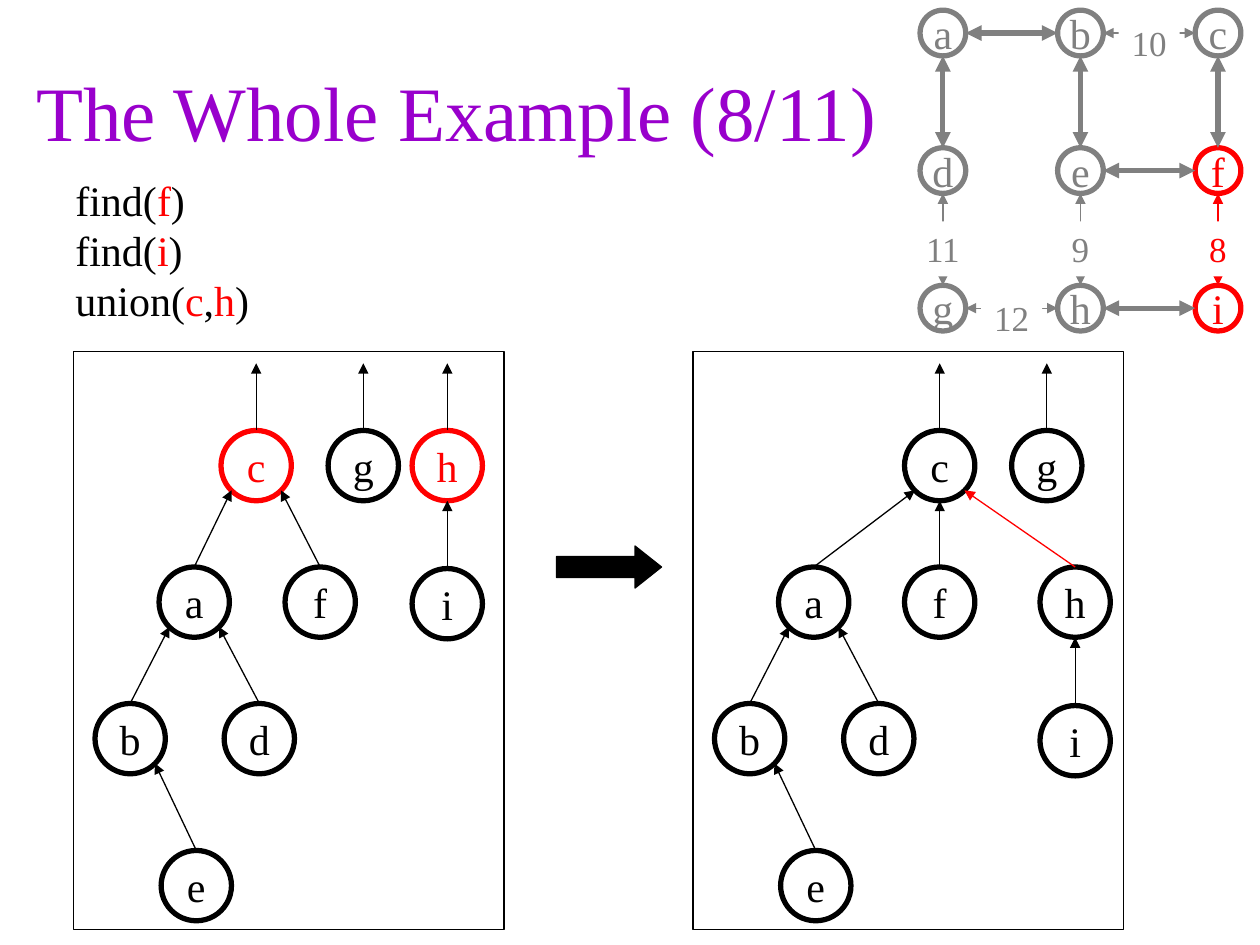
from dataclasses import dataclass

from lxml import etree
from pptx import Presentation
from pptx import util as u
from pptx.dml.color import RGBColor
from pptx.enum import shapes, text
from pptx.oxml.ns import qn

BLACK = RGBColor(0, 0, 0)
WHITE = RGBColor(255, 255, 255)
GRAY = RGBColor(128, 128, 128)
RED = RGBColor(255, 0, 0)
PURPLE = RGBColor(0x99, 0, 0xCC)
FONT = "Times New Roman"
COLUMNS = 120
THIN, THICK = 0.75, 3

GRAPH_LEFT, GRAPH_TOP, GRAPH_PITCH = 89.8, 3.15, 13.1
VERTEX_SIZE, WEIGHT_DROP = 4.35, 0.9
PANEL_TOP, PANEL_WIDTH, PANEL_HEIGHT = 33.5, 41, 55
NODE_SIZE, ROOT_TIP = 6.7, 34.6
SIDE_X, SIDE_Y = 2.35, 5.7


@dataclass(frozen=True)
class Edge:
    start: str
    end: str
    weight: str = ""
    box_width: float = 5.8
    color: RGBColor = GRAY


@dataclass(frozen=True)
class Node:
    label: str
    center: float
    top: float
    parent: str = ""
    color: RGBColor = BLACK
    link_color: RGBColor = BLACK


VERTICES = ["abc", "def", "ghi"]
CURRENT_EDGE = "fi"
EDGES = [
    Edge("a", "b"), Edge("a", "d"), Edge("b", "e"), Edge("c", "f"),
    Edge("e", "f"), Edge("h", "i"),
    Edge("d", "g", "11"), Edge("b", "c", "10"), Edge("e", "h", "9", 7),
    Edge("f", "i", "8", 3.6, RED), Edge("g", "h", "12"),
]
SHARED_TREE = [
    Node("a", 11.5, 54, "c"), Node("f", 23.5, 54, "c"),
    Node("b", 5.4, 67, "a"), Node("d", 17.7, 67, "a"),
    Node("e", 11.7, 81, "b"),
]
FORESTS = {
    66: [Node("c", 23.5, 41), Node("g", 33.7, 41),
         Node("h", 36.4, 54, "c", link_color=RED),
         Node("i", 36.4, 67.2, "h")] + SHARED_TREE,
    7: [Node("c", 17.4, 41, color=RED), Node("g", 27.6, 41),
        Node("h", 35.6, 41, color=RED),
        Node("i", 35.6, 54.15, "h")] + SHARED_TREE,
}
STEPS = [
    [("find(", BLACK), ("f", RED), (")", BLACK)],
    [("find(", BLACK), ("i", RED), (")", BLACK)],
    [("union(", BLACK), ("c", RED), (",", BLACK), ("h", RED), (")", BLACK)],
]

prs = Presentation()
prs.slide_width, prs.slide_height = u.Inches(10), u.Inches(7.5)
slide = prs.slides.add_slide(prs.slide_layouts[5])


def grid(*counts: float) -> list[int]:
    return [int(prs.slide_width * count / COLUMNS) for count in counts]


def style_font(font, size: float, color: RGBColor) -> None:
    font.name, font.size = FONT, u.Pt(size)
    font.color.rgb = color


def add_box(kind, left: float, top: float, width: float, height: float,
            fill: RGBColor | None = None, line: RGBColor | None = None,
            weight: float = THIN):
    box = slide.shapes.add_shape(kind, *grid(left, top, width, height))
    box.shadow.inherit = False
    if fill is None:
        box.fill.background()
    else:
        box.fill.solid()
        box.fill.fore_color.rgb = fill
    if line is None:
        box.line.fill.background()
    else:
        box.line.color.rgb = line
        box.line.width = u.Pt(weight)
    return box


def write_label(box, label: str, size: float, color: RGBColor) -> None:
    frame = box.text_frame
    frame.text = label
    frame.word_wrap = False
    frame.vertical_anchor = text.MSO_ANCHOR.MIDDLE
    frame.paragraphs[0].alignment = text.PP_ALIGN.CENTER
    style_font(frame.paragraphs[0].runs[0].font, size, color)


def add_circle(label: str, x: float, top: float, size: float, color: RGBColor) -> None:
    circle = add_box(shapes.MSO_SHAPE.OVAL, x - size / 2, top, size, size,
                     line=color, weight=THICK)
    write_label(circle, label, 24, color)


def add_arrow(start: tuple[float, float], end: tuple[float, float],
              color: RGBColor, weight: float = THIN, both_ends: bool = False) -> None:
    arrow = slide.shapes.add_connector(shapes.MSO_CONNECTOR.STRAIGHT,
                                       *grid(*start, *end))
    arrow.line.color.rgb = color
    arrow.line.width = u.Pt(weight)
    outline = arrow.line._get_or_add_ln()
    for tip in ("a:headEnd", "a:tailEnd") if both_ends else ("a:tailEnd",):
        etree.SubElement(outline, qn(tip), type="triangle")
    etree.SubElement(arrow._element.spPr, qn("a:effectLst"))


def draw_graph() -> None:
    centers = {label: (GRAPH_LEFT + column * GRAPH_PITCH, GRAPH_TOP + row * GRAPH_PITCH)
               for row, labels in enumerate(VERTICES)
               for column, label in enumerate(labels)}
    radius = VERTEX_SIZE / 2
    for label, (x, y) in centers.items():
        color = RED if label in CURRENT_EDGE else GRAY
        add_circle(label, x, y - radius, VERTEX_SIZE, color)
    for edge in EDGES:
        (x1, y1), (x2, y2) = centers[edge.start], centers[edge.end]
        dx, dy = (radius, 0) if x2 > x1 else (0, radius)
        add_arrow((x1 + dx, y1 + dy), (x2 - dx, y2 - dy), edge.color,
                  THIN if edge.weight else THICK, both_ends=True)
        if edge.weight:
            height = 5.25
            box = add_box(shapes.MSO_SHAPE.RECTANGLE,
                          (x1 + x2 - edge.box_width) / 2,
                          (y1 + y2 - height) / 2 + WEIGHT_DROP,
                          edge.box_width, height, fill=WHITE)
            write_label(box, edge.weight, 20, edge.color)


def link_tip(node: Node, parent: Node | None) -> tuple[float, float]:
    if parent is None:
        return node.center, ROOT_TIP
    if node.center == parent.center:
        return parent.center, parent.top + NODE_SIZE
    side = SIDE_X if node.center > parent.center else -SIDE_X
    return parent.center + side, parent.top + SIDE_Y


def draw_forest(left: float, nodes: list[Node]) -> None:
    add_box(shapes.MSO_SHAPE.RECTANGLE, left, PANEL_TOP, PANEL_WIDTH, PANEL_HEIGHT,
            fill=WHITE, line=BLACK)
    by_label = {node.label: node for node in nodes}
    for node in nodes:
        add_circle(node.label, left + node.center, node.top, NODE_SIZE, node.color)
        tip_x, tip_y = link_tip(node, by_label.get(node.parent))
        add_arrow((left + node.center, node.top), (left + tip_x, tip_y), node.link_color)


def write_title() -> None:
    title = slide.shapes.title
    title.left, title.top, title.width, title.height = grid(1, 3, 85, 15)
    write_label(title, "The Whole Example (8/11)", 44, PURPLE)
    title.text_frame.word_wrap = True
    title.text_frame.auto_size = text.MSO_AUTO_SIZE.NONE


def write_steps() -> None:
    frame = slide.shapes.add_textbox(*grid(6, 16, 19, 15.6)).text_frame
    frame.word_wrap = False
    frame.text = "\n".join("".join(part for part, _ in step) for step in STEPS)
    for paragraph, step in zip(frame.paragraphs, STEPS):
        paragraph.text = ""
        for part, color in step:
            run = paragraph.add_run()
            run.text = part
            style_font(run.font, 24, color)


write_title()
draw_graph()
becomes = add_box(shapes.MSO_SHAPE.RIGHT_ARROW, 53, 52, 10, 4, fill=BLACK, line=BLACK)
becomes.adjustments[1] = 0.63
for panel_left, forest in FORESTS.items():
    draw_forest(panel_left, forest)
write_steps()
prs.save("out.pptx")
